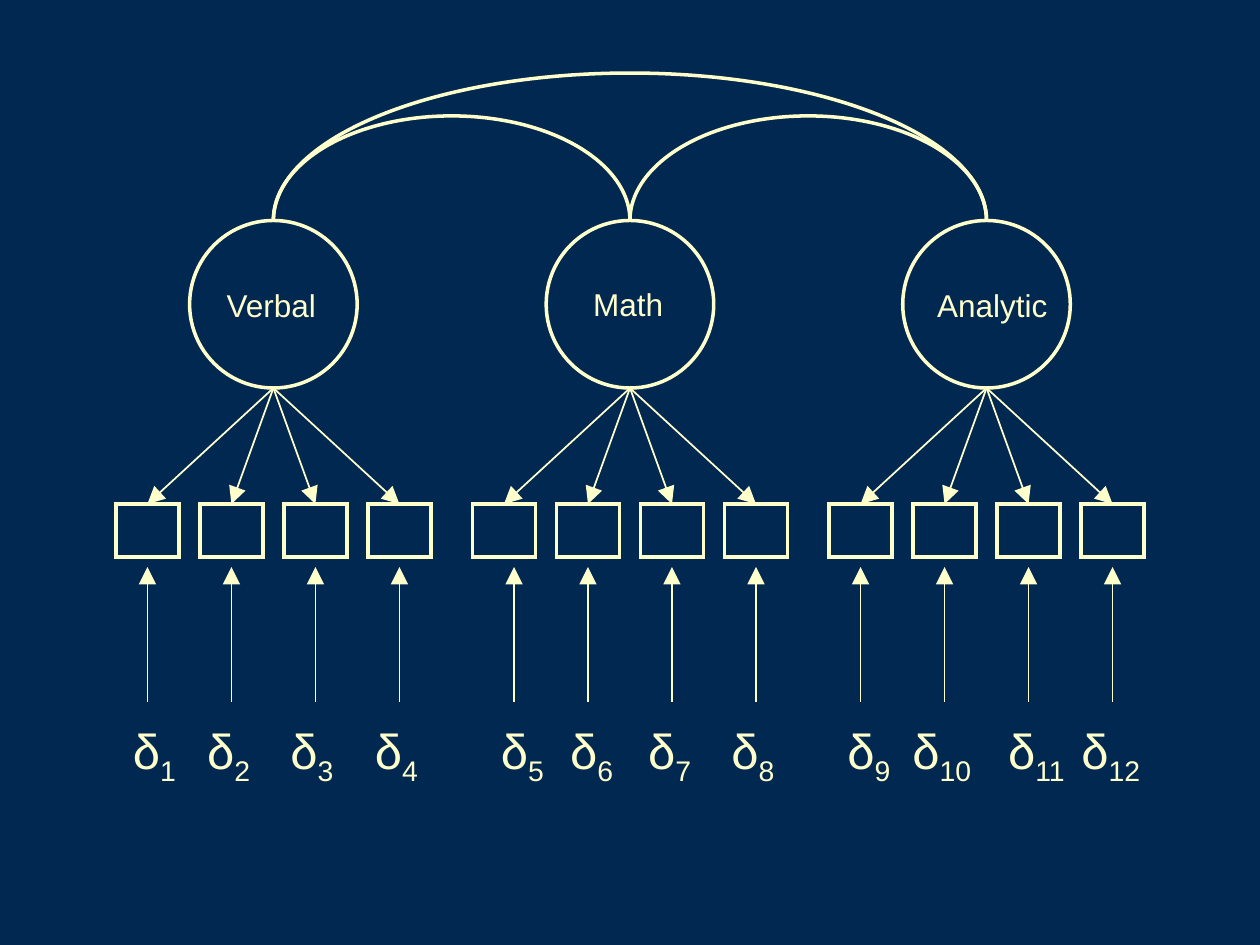
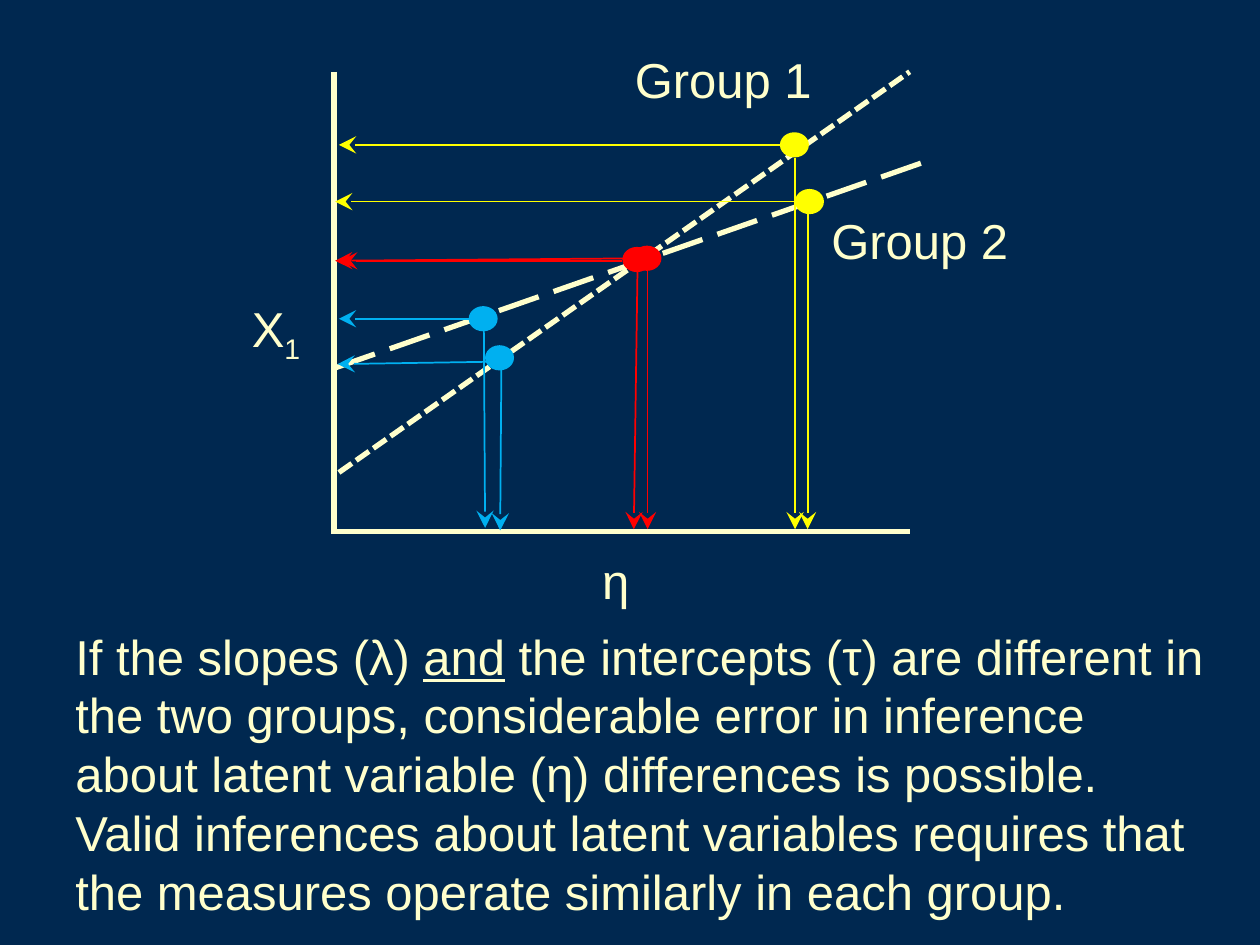
from pptx import Presentation
from pptx.dml.color import RGBColor
from pptx.enum.dml import MSO_LINE
from pptx.enum.shapes import MSO_CONNECTOR, MSO_SHAPE
from pptx.enum.text import MSO_AUTO_SIZE, PP_ALIGN
from pptx.oxml.ns import qn
from pptx.util import Inches, Pt
from lxml.etree import SubElement

FONT = "Arial"
COLORS = {"back": "002850", "cream": "FFFFCC", "red": "FF0000",
          "yellow": "FFFF00", "blue": "00B0F0"}

FACTORS = [("Verbal", 1.7, 2.22), ("Math", 4.61, 2.21), ("Analytic", 7.34, 2.22)]
ERRORS = [0.83, 1.42, 2.08, 2.75, 3.75, 4.3, 4.92, 5.58, 6.5, 7.08, 7.83, 8.42]
ARCS = [(0, 1, 0.92), (1, 2, 0.92), (0, 2, 0.58)]
FIRST, STEP, GAP = 2.17, 2.83, 2 / 3
TOP, DIAM = 1.75, 1.33
BOXES, BOX_W, BOX_H = 4, 0.5, 0.42
SHIFTS = {4: 0.08}

LABELS = [
    ((4.68, 4.32, 0.5, 0.57), [("η", "")]),
    ((1.9, 2.32, 0.71, 0.63), [("X", ""), ("1", "sub")]),
    ((4.94, 0.34, 1.65, 0.57), [("Group 1", "")]),
    ((6.5, 1.62, 2, 0.57), [("Group 2", "")]),
    ((0.5, 4.92, 9.17, 2.44), [
        ("If the slopes (λ) ", ""), ("and", "under"),
        (" the intercepts (τ) are different in the two groups, considerable "
         "error in inference about latent variable (η) differences is possible. "
         "Valid inferences about latent variables requires that the measures "
         "operate similarly in each group.", "")]),
]
AXES = [((2.65, 0.57), (2.65, 4.24), None), ((7.22, 4.22), (2.64, 4.22), None),
        ((2.69, 3.75), (7.22, 0.57), MSO_LINE.SQUARE_DOT),
        ((2.66, 2.92), (7.41, 1.26), MSO_LINE.LONG_DASH)]
DOT_W, DOT_H = 0.23, 0.2
POINTS = [
    ("red", [(4.94, 1.96), (5.02, 1.95)],
     [((5.06, 2.12), (5.03, 4.2)), ((5.14, 2.1), (5.14, 4.2)),
      ((4.94, 2.07), (2.7, 2.07)), ((5.15, 2.05), (2.66, 2.07))]),
    ("yellow", [(6.19, 1.05), (6.31, 1.5)],
     [((6.19, 1.15), (2.69, 1.15)), ((6.41, 1.6), (2.66, 1.6)),
      ((6.41, 1.62), (6.41, 4.2)), ((6.31, 1.25), (6.31, 4.2))]),
    ("blue", [(3.72, 2.43), (3.85, 2.74)],
     [((3.75, 2.53), (2.69, 2.53)), ((3.98, 2.87), (2.68, 2.89)),
      ((3.98, 2.82), (3.97, 4.21)), ((3.84, 2.55), (3.85, 4.19))]),
]


def rgb(name):
    return RGBColor.from_string(COLORS[name])


def add_text(slide, at, parts, size=28, align=PP_ALIGN.LEFT):
    frame = slide.shapes.add_textbox(*map(Inches, at)).text_frame
    frame.word_wrap = True
    frame.auto_size = MSO_AUTO_SIZE.SHAPE_TO_FIT_TEXT
    para = frame.paragraphs[0]
    para.alignment = align
    for text, style in parts:
        run = para.add_run()
        run.text = text
        run.font.name = FONT
        run.font.size = Pt(size)
        run.font.color.rgb = rgb("cream")
        if style == "under":
            run.font.underline = True
        if style == "sub":
            run.font._element.set("baseline", "-25000")


def add_line(slide, start, end, color="cream", width=1, head=None, dash=None):
    link = slide.shapes.add_connector(
        MSO_CONNECTOR.STRAIGHT, *map(Inches, (*start, *end)))
    link.line.color.rgb = rgb(color)
    link.line.width = Pt(width)
    if dash:
        link.line.dash_style = dash
    props = link._element.spPr
    if head:
        SubElement(props.find(qn("a:ln")), qn("a:tailEnd"),
                   type=head, w="lg", len="lg")
    SubElement(props, qn("a:effectLst"))


def add_form(slide, kind, at, fill=None):
    form = slide.shapes.add_shape(kind, *map(Inches, at))
    form.shadow.inherit = False
    if fill:
        form.fill.solid()
        form.fill.fore_color.rgb = rgb(fill)
        form.line.fill.background()
    else:
        form.fill.background()
        form.line.color.rgb = rgb("cream")
        form.line.width = Pt(2)
        SubElement(form._element.spPr.find(qn("a:ln")), qn("a:miter"), lim="800000")
    return form


def draw_model(slide):
    mids = [FIRST + STEP * i for i in range(len(FACTORS))]
    for col, (mid, (name, left, top)) in enumerate(zip(mids, FACTORS)):
        add_form(slide, MSO_SHAPE.OVAL, (mid - DIAM / 2, TOP, DIAM, DIAM))
        add_text(slide, (left, top, DIAM, 0.4), [(name, "")], 18)
        for row in range(BOXES):
            num = col * BOXES + row
            x = mid + (row - (BOXES - 1) / 2) * GAP
            add_form(slide, MSO_SHAPE.RECTANGLE, (x - BOX_W / 2, 4, BOX_W, BOX_H))
            add_line(slide, (mid, TOP + DIAM), (x, 4), head="triangle")
            foot = x + SHIFTS.get(num, 0)
            add_line(slide, (foot, 5.57), (foot, 4.5), head="triangle")
            add_text(slide, (ERRORS[num], 5.67, 0.79, 0.63),
                     [("δ", ""), (str(num + 1), "sub")], align=PP_ALIGN.CENTER)
    for start, end, peak in ARCS:
        arc = add_form(slide, MSO_SHAPE.ARC, (
            mids[start], peak, mids[end] - mids[start], 2 * (TOP - peak)))
        arc.adjustments[0] = 108
        arc.adjustments[1] = 0


def draw_plot(slide):
    for at, parts in LABELS:
        add_text(slide, at, parts)
    for start, end, dash in AXES:
        add_line(slide, start, end, width=3, dash=dash)
    for color, dots, lines in POINTS:
        for left, top in dots:
            add_form(slide, MSO_SHAPE.OVAL, (left, top, DOT_W, DOT_H), color)
        for start, end in lines:
            add_line(slide, start, end, color, head="stealth")


def main():
    deck = Presentation()
    deck.slide_width, deck.slide_height = Inches(10), Inches(7.5)
    fill = deck.slide_master.background.fill
    fill.solid()
    fill.fore_color.rgb = rgb("back")
    for draw in (draw_model, draw_plot):
        draw(deck.slides.add_slide(deck.slide_layouts[6]))
    deck.save("out.pptx")


if __name__ == "__main__":
    main()
